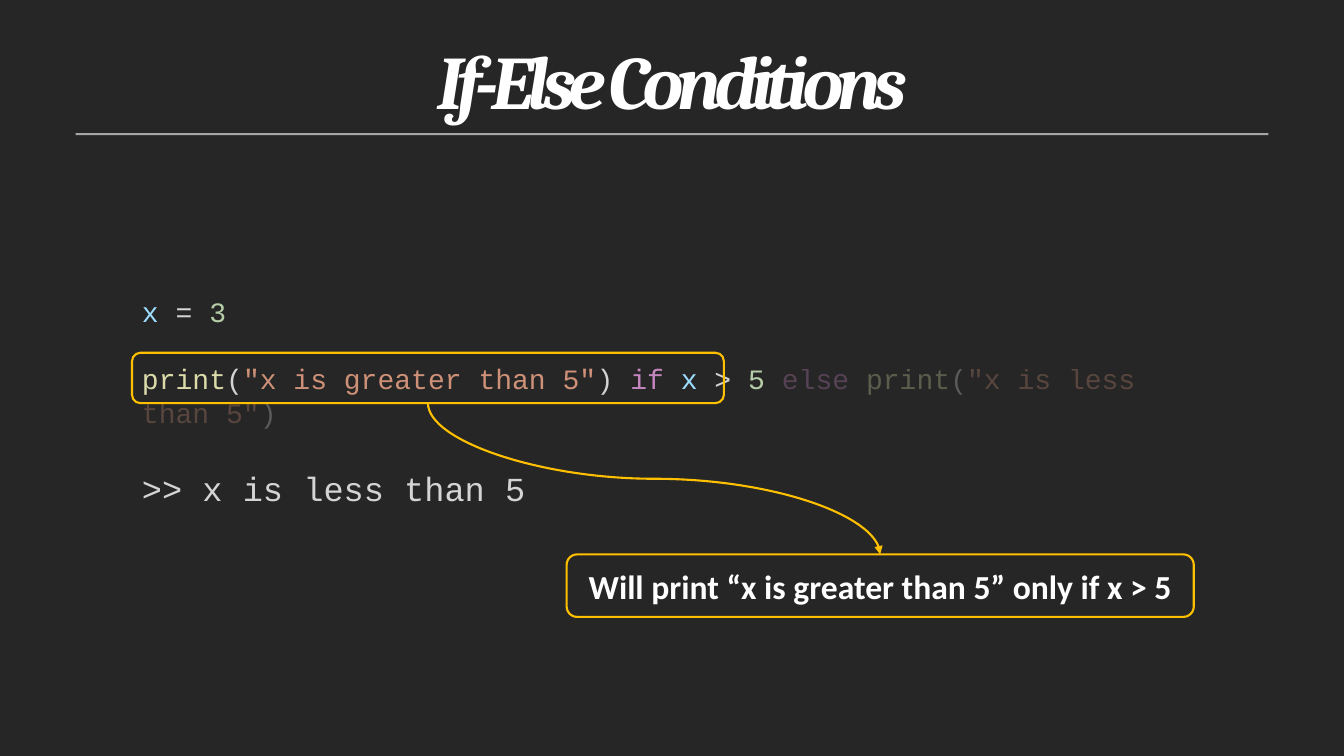
from lxml.etree import SubElement
from pptx import Presentation
from pptx.dml.color import RGBColor
from pptx.enum.shapes import MSO_CONNECTOR, MSO_SHAPE
from pptx.enum.text import MSO_ANCHOR, PP_ALIGN
from pptx.oxml.ns import qn
from pptx.util import Inches, Pt

BACKGROUND = RGBColor(0x26, 0x26, 0x26)
RULE_GREY = RGBColor(0xA6, 0xA6, 0xA6)
WHITE = RGBColor(0xFF, 0xFF, 0xFF)
AMBER = RGBColor(0xFF, 0xC0, 0x00)
# Syntax colours
VARIABLE = RGBColor(0x9C, 0xDC, 0xFE)
PLAIN = RGBColor(0xD4, 0xD4, 0xD4)
NUMBER = RGBColor(0xB5, 0xCE, 0xA8)
FUNCTION = RGBColor(0xDC, 0xDC, 0xAA)
STRING = RGBColor(0xCE, 0x91, 0x78)
KEYWORD = RGBColor(0xC5, 0x86, 0xC0)

ASSIGNMENT = [("x", VARIABLE), (" = ", PLAIN), ("3", NUMBER)]
IF_PART = [("print", FUNCTION), ("(", PLAIN), ('"x is greater than 5"', STRING),
           (") ", PLAIN), ("if ", KEYWORD), ("x", VARIABLE), (" > ", PLAIN),
           ("5 ", NUMBER)]
ELSE_PART = [("else ", KEYWORD), ("print", FUNCTION), ("(", PLAIN),
             ('"x is less than 5"', STRING), (")", PLAIN)]


def add_text_frame(slide, left, top, width, height):
    box = slide.shapes.add_textbox(Inches(left), Inches(top), Inches(width), Inches(height))
    box.text_frame.word_wrap = True
    return box.text_frame


def set_font(paragraph, name, size, color=None, bold=None, italic=None):
    font = paragraph.font
    font.name, font.size, font.bold, font.italic = name, Pt(size), bold, italic
    if color is not None:
        font.color.rgb = color


def add_code(paragraph, tokens, opacity=100):
    for text, color in tokens:
        run = paragraph.add_run()
        run.text = text
        run.font.color.rgb = color
        if opacity < 100:
            tint = run.font.fill._xPr.find(qn("a:solidFill"))[0]
            SubElement(tint, qn("a:alpha"), val=str(opacity * 1000))


def add_heading(slide, left, top, width, height):
    # Title
    title = add_text_frame(slide, left, top, width, height).paragraphs[0]
    title.alignment = PP_ALIGN.CENTER
    title.line_spacing = Pt(80.7)
    run = title.add_run()
    run.text = "If-Else Conditions"
    run._r.get_or_add_rPr().set("spc", "-480")
    set_font(title, "Cambria", 54, WHITE, bold=True, italic=True)

    # Rule below the title
    rule = slide.shapes.add_shape(MSO_SHAPE.RECTANGLE, Inches(left - 0.38),
                                  Inches(top + 1.25), Inches(width + 0.75), Inches(0.02))
    rule.shadow.inherit = False
    rule.fill.solid()
    rule.fill.fore_color.rgb = RULE_GREY
    rule.line.fill.background()


def add_listing(slide, left, top, width, height):
    # Code
    code = add_text_frame(slide, left, top, width, height)
    assignment, condition = code.paragraphs[0], code.add_paragraph()
    add_code(assignment, ASSIGNMENT)
    add_code(condition, IF_PART)
    add_code(condition, ELSE_PART, opacity=30)
    condition.space_before = Pt(24)
    for line in (assignment, condition):
        set_font(line, "Courier New", 20)

    # Program output
    output = add_text_frame(slide, left, top + 1.72, 6.67, 0.5).paragraphs[0]
    output.text = ">> x is less than 5"
    set_font(output, "Courier New", 24, PLAIN)


def add_frame(slide, left, top, width, height):
    frame = slide.shapes.add_shape(MSO_SHAPE.ROUNDED_RECTANGLE, Inches(left), Inches(top),
                                   Inches(width), Inches(height))
    frame.shadow.inherit = False
    frame.fill.background()
    frame.line.color.rgb = AMBER
    frame.line.width = Pt(1.5)
    return frame


def add_callout(slide, left, top, width, height):
    # Highlighted code and its explanation
    highlight = add_frame(slide, left - 4.31, top - 2, 5.87, 0.5)
    explanation = add_frame(slide, left, top, width, height)
    explanation.text_frame.word_wrap = True
    explanation.text_frame.vertical_anchor = MSO_ANCHOR.MIDDLE
    sentence = explanation.text_frame.paragraphs[0]
    sentence.text = "Will print “x is greater than 5” only if x > 5"
    sentence.alignment = PP_ALIGN.CENTER
    set_font(sentence, "Calibri", 24, WHITE, bold=True)

    # Curved arrow between them
    arrow = slide.shapes.add_connector(MSO_CONNECTOR.CURVE, 0, 0, 0, 0)
    arrow.begin_connect(highlight, 2)
    arrow.end_connect(explanation, 0)
    start_x, start_y = arrow.begin_x, arrow.begin_y
    run, drop = arrow.end_x - start_x, arrow.end_y - start_y
    # A quarter turn makes the curve leave and arrive vertically
    arrow.left = start_x + (run - drop) // 2
    arrow.top = start_y + (drop - run) // 2
    arrow.width, arrow.height = drop, run
    transform = arrow._element.spPr.find(qn("a:xfrm"))
    transform.set("rot", "16200000")
    transform.set("flipH", "1")
    arrow.line.color.rgb = AMBER
    arrow.line.width = Pt(1.5)
    SubElement(arrow.line._get_or_add_ln(), qn("a:tailEnd"), type="triangle")
    SubElement(arrow._element.spPr, qn("a:effectLst"))


def main():
    deck = Presentation()
    deck.slide_width, deck.slide_height = Inches(13.33), Inches(7.5)
    slide = deck.slides.add_slide(deck.slide_layouts[6])
    slide.background.fill.solid()
    slide.background.fill.fore_color.rgb = BACKGROUND
    add_heading(slide, 1.13, 0.07, 11.08, 1.13)
    add_listing(slide, 1.31, 2.87, 10.71, 1.11)
    add_callout(slide, 5.62, 5.5, 6.22, 0.62)
    deck.save("out.pptx")


if __name__ == "__main__":
    main()
